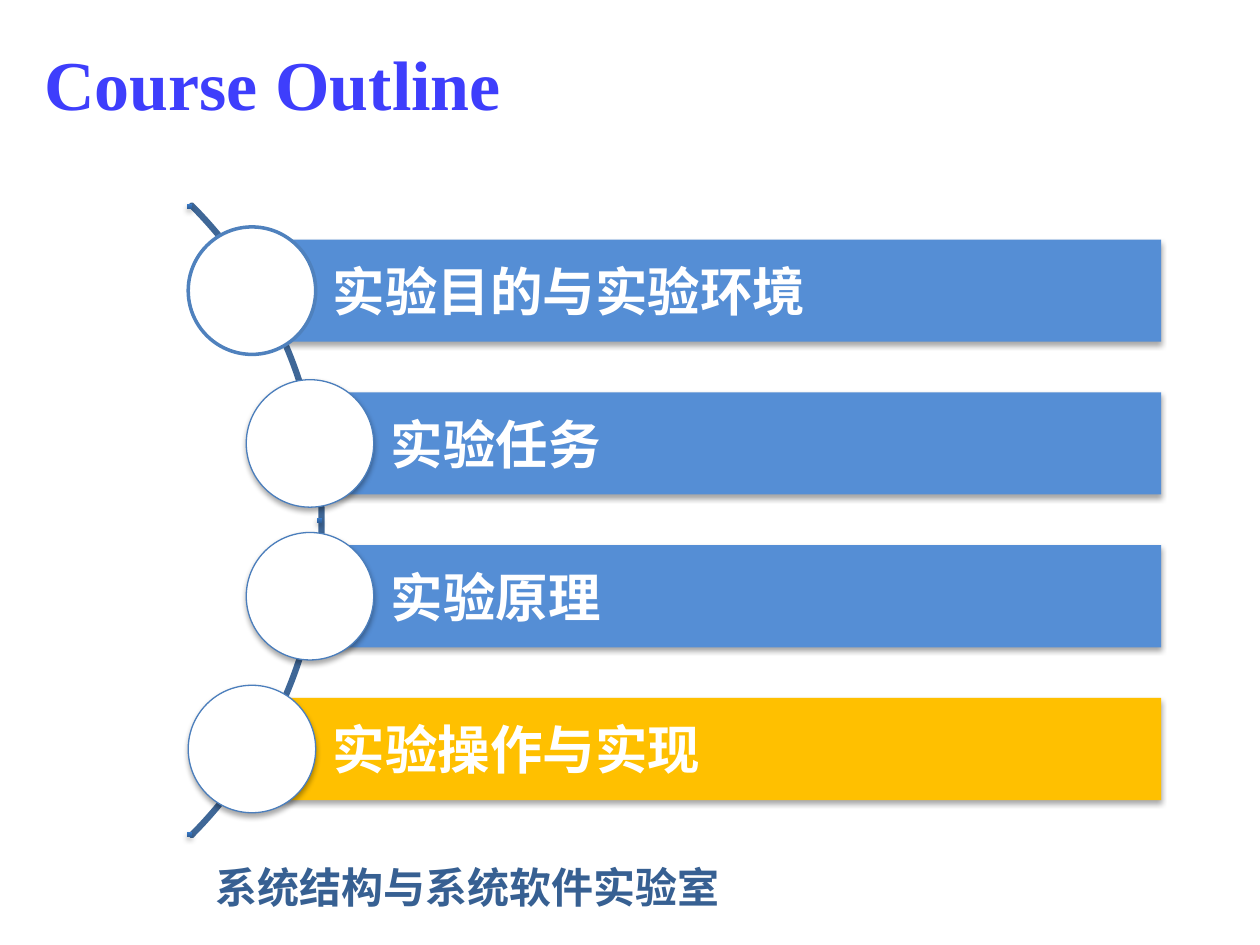
"""Build the course outline slide with four topics along an arc."""
import math

import pptx
import pptx.dml.color
import pptx.enum.shapes
import pptx.enum.text
import pptx.oxml
import pptx.oxml.ns
import pptx.util

Cm = pptx.util.Cm
Pt = pptx.util.Pt
RGBColor = pptx.dml.color.RGBColor
Shape = pptx.enum.shapes.MSO_SHAPE
Anchor = pptx.enum.text.MSO_ANCHOR

WHITE = RGBColor(0xFF, 0xFF, 0xFF)
TITLE_BLUE = RGBColor(0x3E, 0x3E, 0xFC)
FOOTER_BLUE = RGBColor(0x37, 0x60, 0x92)
ARC_BLUE = RGBColor(0x3F, 0x67, 0x97)
BAR_BLUE = RGBColor(0x55, 0x8E, 0xD5)
AMBER = RGBColor(0xFF, 0xC0, 0x00)
RING_BLUE = RGBColor(0x4F, 0x81, 0xBD)
THIN_RING_BLUE = RGBColor(0x4B, 0x7E, 0xBC)
NODE_DARK = RGBColor(0x2F, 0x5F, 0x99)
NODE_LIGHT = RGBColor(0x3A, 0x7C, 0xCB)

CJK_FONT = "Noto Sans CJK SC"
SHADOW = (
    '<a:outerShdw %s blurRad="40000" dist="23000" dir="5400000" rotWithShape="0">'
    '<a:srgbClr val="000000"><a:alpha val="35000"/></a:srgbClr></a:outerShdw>'
    % pptx.oxml.ns.nsdecls("a")
)


def add_figure(kind, left, top, width, height, fill, line=None, weight=0, shadow=True):
    figure = page.shapes.add_shape(kind, Cm(left), Cm(top), Cm(width), Cm(height))
    figure.shadow.inherit = False
    if shadow:
        effects = figure._element.spPr.find(pptx.oxml.ns.qn("a:effectLst"))
        effects.append(pptx.oxml.parse_xml(SHADOW))
    figure.fill.solid()
    figure.fill.fore_color.rgb = fill
    if line is None:
        figure.line.fill.background()
    else:
        figure.line.color.rgb = line
        figure.line.width = Pt(weight)
    return figure


def write(box, text, font, size, color):
    frame = box.text_frame
    frame.word_wrap = True
    frame.text = text
    paragraph = frame.paragraphs[0]
    paragraph.alignment = pptx.enum.text.PP_ALIGN.LEFT
    span = paragraph.runs[0]
    span.font.name = font
    span.font.size = Pt(size)
    span.font.bold = True
    span.font.color.rgb = color
    east_asian = pptx.oxml.parse_xml(
        '<a:ea %s typeface="%s"/>' % (pptx.oxml.ns.nsdecls("a"), CJK_FONT))
    span.font._element.find(pptx.oxml.ns.qn("a:latin")).addnext(east_asian)


deck = pptx.Presentation()
deck.slide_width = Cm(25.4)
deck.slide_height = Cm(19.05)
page = deck.slides.add_slide(deck.slide_layouts[5])
for placeholder in list(page.placeholders)[1:]:
    placeholder._element.getparent().remove(placeholder._element)

title = page.shapes.title
title.left, title.top, title.width, title.height = Cm(0.64), Cm(0.33), Cm(19.46), Cm(2.67)
title.text_frame.vertical_anchor = Anchor.MIDDLE
write(title, "Course Outline", "Times New Roman", 40, TITLE_BLUE)

footer = page.shapes.add_textbox(Cm(4.09), Cm(17.25), Cm(13.41), Cm(1.3))
write(footer, "系统结构与系统软件实验室", CJK_FONT, 24, FOOTER_BLUE)

CENTER_X, CENTER_Y, RADIUS = -2.51, 10.49, 9.02
arc = add_figure(Shape.BLOCK_ARC, CENTER_X - RADIUS, CENTER_Y - RADIUS, 2 * RADIUS, 2 * RADIUS,
                 ARC_BLUE, ARC_BLUE, 2, shadow=False)
for index, value in enumerate((189, 27, 0.003)):
    arc.adjustments[index] = value

BAR_TOP, BAR_PITCH, BAR_HEIGHT, BAR_RIGHT = 4.83, 3.08, 2.06, 23.41
OUTER_LEFT, INNER_LEFT = 5.08, 6.25
CIRCLE = 2.57
topics = [
    ("实验目的与实验环境", OUTER_LEFT, BAR_BLUE),
    ("实验任务", INNER_LEFT, BAR_BLUE),
    ("实验原理", INNER_LEFT, BAR_BLUE),
    ("实验操作与实现", OUTER_LEFT, AMBER),
]
for index, (topic, left, color) in enumerate(topics):
    top = BAR_TOP + index * BAR_PITCH
    bar = add_figure(Shape.RECTANGLE, left, top, BAR_RIGHT - left, BAR_HEIGHT, color)
    frame = bar.text_frame
    frame.vertical_anchor = Anchor.MIDDLE
    frame.margin_left = Cm(1.63)
    frame.margin_top = frame.margin_right = frame.margin_bottom = Cm(0.2)
    write(bar, topic, "Calibri", 30, WHITE)
    first = index == 0
    add_figure(Shape.OVAL, left - CIRCLE / 2, top + (BAR_HEIGHT - CIRCLE) / 2, CIRCLE, CIRCLE,
               WHITE, RING_BLUE if first else THIN_RING_BLUE, 2 if first else 0.75,
               shadow=not first)

NODE, NODE_RADIUS = 0.1, 8.95
for degrees in (-45, 0, 45):
    angle = math.radians(degrees)
    node = add_figure(Shape.RECTANGLE,
                      CENTER_X + NODE_RADIUS * math.cos(angle) - NODE / 2,
                      CENTER_Y + NODE_RADIUS * math.sin(angle) - NODE / 2,
                      NODE, NODE, NODE_DARK)
    node.fill.gradient()
    node.fill.gradient_angle = 90
    for stop, color in zip(node.fill.gradient_stops, (NODE_DARK, NODE_LIGHT)):
        stop.color.rgb = color

deck.save("out.pptx")
